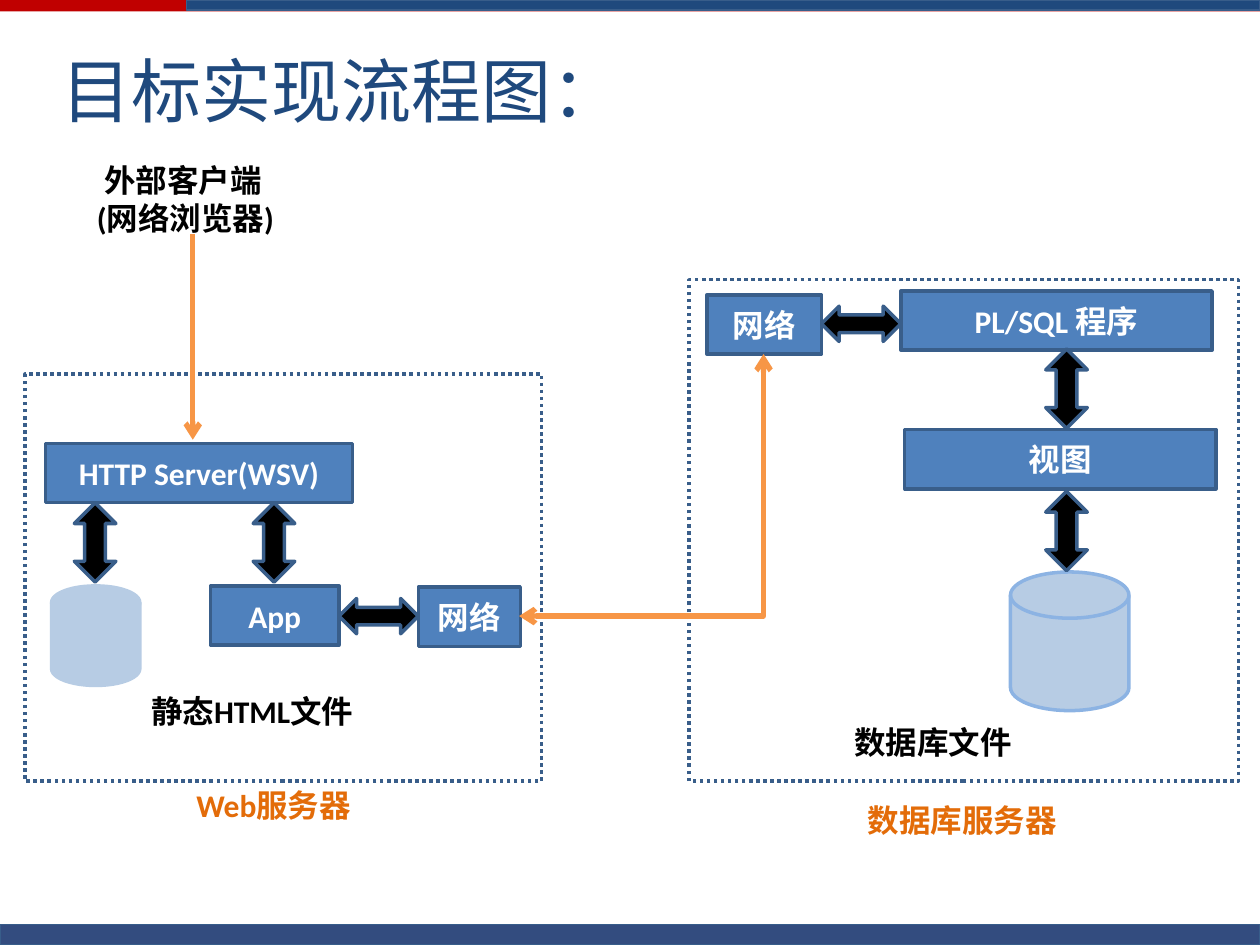
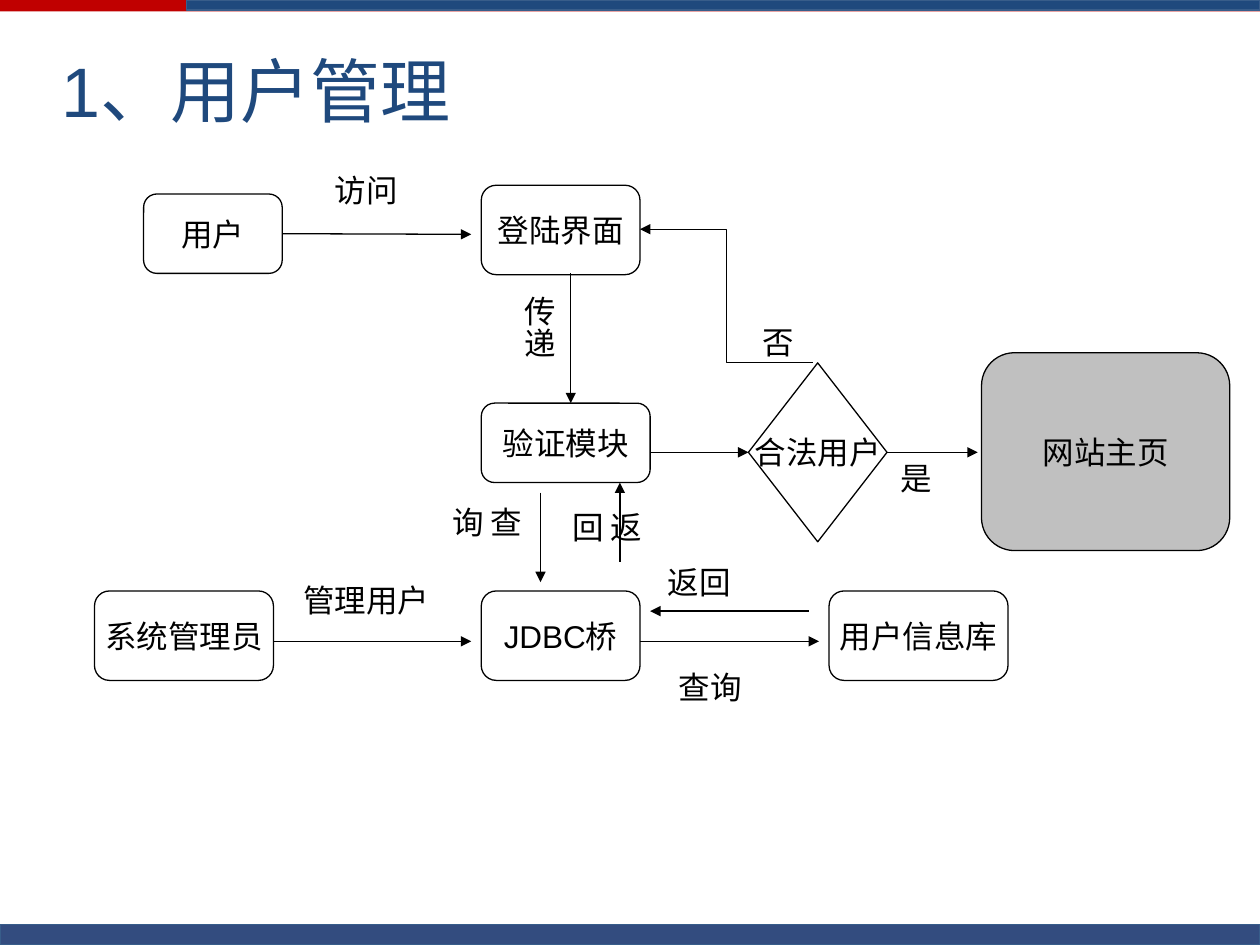
import lxml.etree
import pptx
import pptx.dml.color
import pptx.enum.dml
import pptx.enum.shapes
import pptx.enum.text
import pptx.oxml.ns
import pptx.util

RGB = pptx.dml.color.RGBColor
RED = RGB(0xC0, 0x00, 0x00)
NAVY = RGB(0x1F, 0x49, 0x7D)
DEEP = RGB(0x00, 0x20, 0x60)
EDGE = RGB(0x38, 0x5D, 0x8A)
BLUE = RGB(0x4F, 0x81, 0xBD)
RIM = RGB(0x39, 0x5E, 0x8A)
PALE = RGB(0xB7, 0xCC, 0xE4)
SKY = RGB(0x8C, 0xB3, 0xE3)
AMBER = RGB(0xF7, 0x96, 0x46)
RUST = RGB(0xE3, 0x6C, 0x09)
GRAY = RGB(0xC0, 0xC0, 0xC0)
BLACK = RGB(0x00, 0x00, 0x00)
WHITE = RGB(0xFF, 0xFF, 0xFF)

KIND = pptx.enum.shapes.MSO_SHAPE
LINK = pptx.enum.shapes.MSO_CONNECTOR
ALIGN = pptx.enum.text.PP_ALIGN
MIDDLE = pptx.enum.text.MSO_ANCHOR.MIDDLE
FIT = pptx.enum.text.MSO_AUTO_SIZE
DOTS = pptx.enum.dml.MSO_LINE.ROUND_DOT
qn = pptx.oxml.ns.qn

COLS, ROWS = 100, 75
CELL = pptx.util.Inches(0.1)
LATIN, PLAIN, HAN = "Calibri", "Arial", "Noto Sans CJK SC"
TOP, LEFT, BOTTOM, RIGHT = range(4)


def cells(*nums):
    """Turn columns and rows of the slide grid into lengths."""
    return [round(num * CELL) for num in nums]


def put(thing, values):
    """Set each named attribute on the object."""
    for name, value in values.items():
        setattr(thing, name, value)


def write(frame, text, font, size=18, color=BLACK, bold=False,
          align=ALIGN.LEFT, indent=0):
    """Fill a text frame; the indent shifts the first line only."""
    frame.text = text
    for num, para in enumerate(frame.paragraphs):
        para.alignment = align
        if indent and num == 0:
            para._p.get_or_add_pPr().set("indent", str(cells(indent)[0]))
        for run in para.runs:
            put(run.font, {"name": font, "size": pptx.util.Pt(size), "bold": bold})
            run.font.color.rgb = color
            east = lxml.etree.SubElement(run.font._element, qn("a:ea"))
            east.set("typeface", HAN)


def draw(slide, kind, at, fill=None, edge=None, width=2):
    shape = slide.shapes.add_shape(kind, *cells(*at))
    shape.shadow.inherit = False
    if fill is None:
        shape.fill.background()
    else:
        shape.fill.solid()
        shape.fill.fore_color.rgb = fill
    if edge is None:
        shape.line.fill.background()
    else:
        shape.line.color.rgb = edge
        shape.line.width = pptx.util.Pt(width)
    return shape


def node(slide, text, at):
    """Blue box of the server chart."""
    shape = draw(slide, KIND.RECTANGLE, at, BLUE, RIM)
    shape.text_frame.vertical_anchor = MIDDLE
    write(shape.text_frame, text, LATIN, color=WHITE, bold=True, align=ALIGN.CENTER)


def step(slide, text, at, kind=KIND.FLOWCHART_ALTERNATE_PROCESS, fill=WHITE):
    """Thin-lined box of the user chart."""
    shape = draw(slide, kind, at, fill, BLACK, 0.75)
    put(shape.text_frame, {"vertical_anchor": MIDDLE, "word_wrap": False})
    write(shape.text_frame, text, PLAIN, align=ALIGN.CENTER)
    return shape


def note(slide, text, at, font=PLAIN, upright=False, **look):
    box = slide.shapes.add_textbox(*cells(*at))
    put(box.text_frame, {"word_wrap": True, "auto_size": FIT.SHAPE_TO_FIT_TEXT})
    if upright:
        side, end = cells(0.5, 1)
        put(box.text_frame, {"margin_left": side, "margin_right": side,
                             "margin_top": end, "margin_bottom": end})
        box.element.txBody.bodyPr.set("vert", "eaVert")
    write(box.text_frame, text, font, **look)


def wire(slide, ends, kind=LINK.STRAIGHT, color=BLACK, width=0.75,
         tip="triangle", both=False):
    """Line with an arrowhead at its end, or at both ends."""
    line = slide.shapes.add_connector(kind, *cells(*ends))
    line.line.color.rgb = color
    line.line.width = pptx.util.Pt(width)
    props = line.element.spPr
    for name in ("a:headEnd", "a:tailEnd")[0 if both else 1:]:
        lxml.etree.SubElement(props.find(qn("a:ln")), qn(name)).set("type", tip)
    lxml.etree.SubElement(props, qn("a:effectLst"))
    return line


def add_bands(slide, layout):
    """Draw the top and bottom bands and move them to the layout."""
    bands = [draw(slide, KIND.RECTANGLE, (0, 0, COLS, 0.9), RED),
             draw(slide, KIND.RECTANGLE, (14.8, 0, COLS - 14.8, 0.8), NAVY, EDGE, 0),
             draw(slide, KIND.RECTANGLE, (0, ROWS - 1.6, COLS, 1.6), DEEP, EDGE, 0)]
    tint = bands[-1].element.spPr.find(qn("a:solidFill"))[0]
    lxml.etree.SubElement(tint, qn("a:alpha")).set("val", "80000")
    for num, band in enumerate(bands):
        band.element.nvSpPr.cNvPr.set("id", str(20 + num))
        layout.shapes.element.insert(2 + num, band.element)


def add_page(deck, layout, text):
    slide = deck.slides.add_slide(layout)
    title = slide.shapes.title
    left, top, width, height = cells(3.9, 1.3, 91.4, 11.6)
    put(title, {"left": left, "top": top, "width": width, "height": height})
    put(title.text_frame, {"vertical_anchor": MIDDLE, "auto_size": FIT.NONE})
    write(title.text_frame, text, PLAIN, size=40, color=NAVY)
    return slide


def fill_servers(slide):
    for at in ((2, 29.7, 41, 32.3), (54.7, 22.2, 43.6, 39.8)):
        draw(slide, KIND.RECTANGLE, at, edge=RIM).line.dash_style = DOTS
    for text, at in (
        ("HTTP Server(WSV)", (3.6, 35.2, 24.4, 4.7)),
        ("App", (16.7, 46.5, 10.2, 4.7)),
        ("网络", (33.2, 46.6, 8.1, 4.7)),
        ("网络", (56.1, 23.4, 9.1, 4.7)),
        ("PL/SQL 程序", (71.5, 23.1, 24.7, 4.7)),
        ("视图", (71.8, 34.1, 24.7, 4.7)),
    ):
        node(slide, text, at)
    for at, edge in (((4.1, 46.5, 7, 7.9), PALE), ((80.2, 45.4, 9.4, 11), SKY)):
        draw(slide, KIND.FLOWCHART_MAGNETIC_DISK, at, PALE, edge)
    for left, top in ((26.9, 47.5), (65.2, 24.3)):
        draw(slide, KIND.LEFT_RIGHT_ARROW, (left, top, 6.3, 2.8), BLACK, RIM)
    for left, top in ((5.9, 39.9), (20.1, 39.9), (83, 27.7), (83, 39)):
        draw(slide, KIND.UP_DOWN_ARROW, (left, top, 3.3, 6.3), BLACK, RIM)

    flow = {"color": AMBER, "width": 3, "tip": "arrow"}
    wire(slide, (15.3, 18.6, 15.3, 34.9), **flow)
    bend = wire(slide, (41.2, 48.9, 60.6, 28.1), LINK.ELBOW, both=True, **flow)
    bend.element.spPr.prstGeom.set("prst", "bentConnector2")

    for text, at, indent, color in (
        ("外部客户端\n(网络浏览器)", (6.7, 12.3, 18.5, 7), 0.6, BLACK),
        ("静态HTML文件", (9.9, 54.4, 20.2, 7), 1.1, BLACK),
        ("数据库文件", (66.8, 56.9, 16.5, 4), 0, BLACK),
        ("Web服务器", (10.6, 61.9, 21.3, 4), 4, RUST),
        ("数据库服务器", (66.8, 63.1, 21.5, 4), 1.1, RUST),
    ):
        note(slide, text, at, LATIN, indent=indent, color=color, bold=True)


def fill_users(slide):
    user = step(slide, "用户", (11.4, 15.4, 11, 6.3))
    for text, at in (
        ("登陆界面", (38.2, 14.7, 12.6, 7.1)),
        ("验证模块", (38.2, 32, 13.4, 6.3)),
        ("系统管理员", (7.5, 46.9, 14.2, 7.1)),
        ("JDBC桥", (38.2, 46.9, 12.6, 7.1)),
        ("用户信息库", (65.8, 46.9, 14.2, 7.1)),
    ):
        step(slide, text, at)
    check = step(slide, "合法用户", (59.4, 28.8, 11, 14.2), KIND.DIAMOND)
    step(slide, "网站主页", (77.9, 28, 19.7, 15.7), KIND.ROUNDED_RECTANGLE, GRAY)

    wire(slide, (22.4, 18.6, 37.4, 18.6)).begin_connect(user, RIGHT)
    wire(slide, (51.6, 35.9, 59.4, 35.9)).end_connect(check, LEFT)
    wire(slide, (70.5, 35.9, 77.6, 35.9)).begin_connect(check, RIGHT)
    for ends in (
        (45.3, 21.7, 45.3, 32),
        (42.9, 39.1, 42.9, 46.2),
        (49.2, 44.6, 49.2, 38.3),
        (21.7, 50.9, 37.4, 50.9),
        (50.8, 50.9, 65, 50.9),
        (64.2, 48.5, 51.6, 48.5),
    ):
        wire(slide, ends)
    wire(slide, (64.5, 28.8, 50.8, 18.2), LINK.ELBOW)

    for text, at in (
        ("访问", (25.6, 13.1, 7.8, 4)),
        ("管理用户", (23.1, 45.6, 16.6, 4)),
        ("返回", (52, 44.2, 11.4, 4)),
        ("查询", (52.9, 52.5, 11.3, 4)),
        ("是", (70.5, 35.9, 4.9, 4)),
    ):
        note(slide, text, at)
    for text, at in (
        ("传递", (39.8, 22.5, 5, 9)),
        ("否", (58.7, 24.9, 5, 4.8)),
        ("查询", (37.1, 39.2, 5, 6.2)),
        ("返回", (43.6, 39.6, 8, 6.5)),
    ):
        note(slide, text, at, upright=True)


def main():
    deck = pptx.Presentation()
    deck.slide_width, deck.slide_height = cells(COLS, ROWS)
    layout = deck.slide_layouts.get_by_name("Title Only")
    servers = add_page(deck, layout, "目标实现流程图：")
    add_bands(servers, layout)
    fill_servers(servers)
    fill_users(add_page(deck, layout, "1、用户管理"))
    deck.save("out.pptx")


if __name__ == "__main__":
    main()
